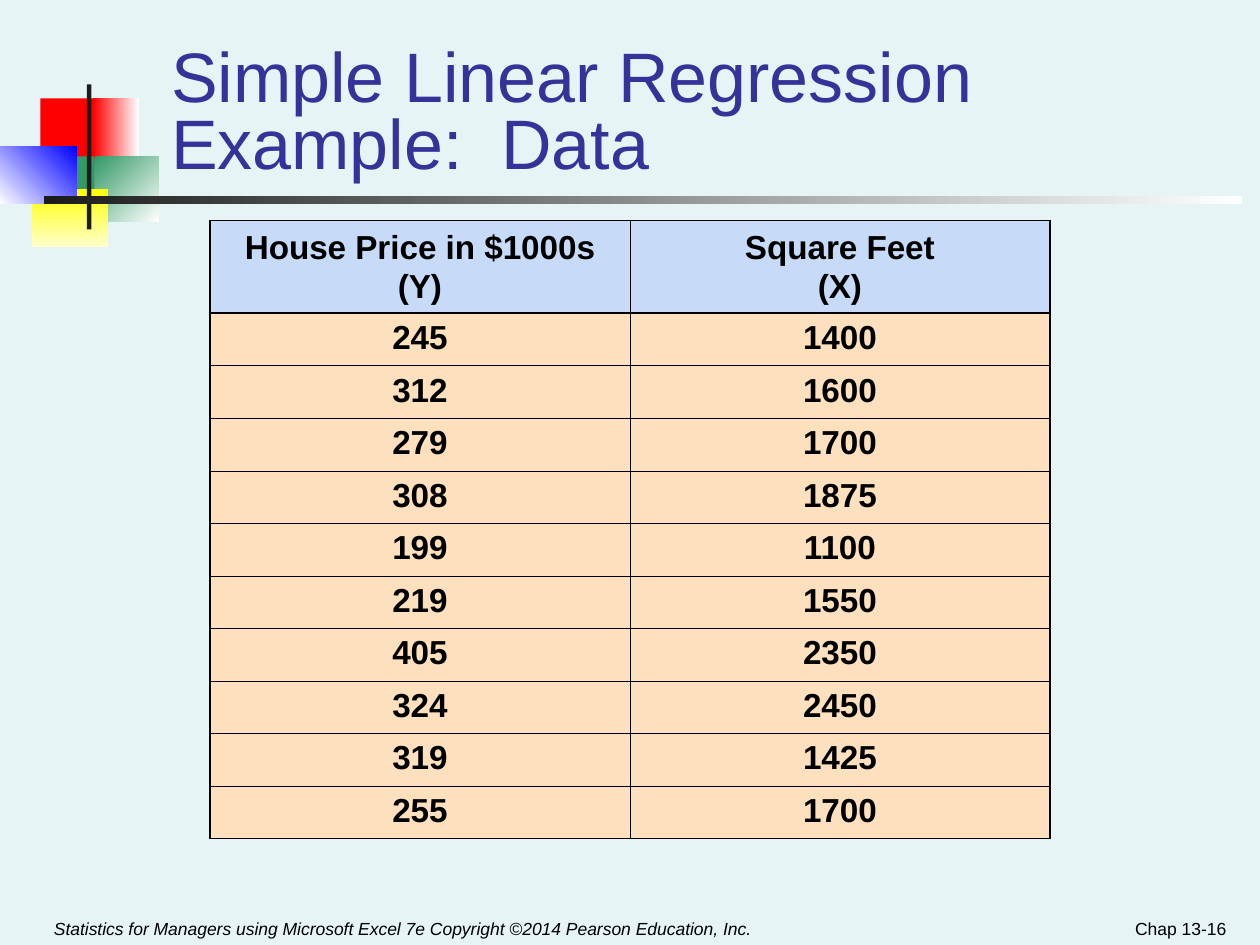
from dataclasses import dataclass
from typing import NamedTuple

from lxml import etree
from pptx import Presentation, util as u
from pptx.dml.color import RGBColor
from pptx.enum import shapes, text
from pptx.oxml.ns import qn

COLS, ROWS = 100, 75
UNIT = u.Inches(0.1)


@dataclass(frozen=True)
class Theme:
    font: str = "Arial"
    back: str = "E7F4F5"
    ink: str = "000000"
    title: str = "333399"
    head: str = "C7DAF7"
    body: str = "FDE0BD"
    red: str = "FF0000"
    green: str = "339966"
    yellow: str = "FFFF00"
    cream: str = "FFFFCC"
    blue: str = "0000FF"
    dark: str = "1C1C1C"
    white: str = "FFFFFF"
    big: float = 40
    mid: float = 19
    small: float = 10
    thick: float = 1.08
    thin: float = 0.45


class Box(NamedTuple):
    col: float
    row: float
    wide: float
    high: float

    def place(self) -> list[int]:
        return [span(size) for size in self]


class Block(NamedTuple):
    box: Box
    start: str
    end: str | None = None
    turn: int = 0


class Label(NamedTuple):
    box: Box
    words: str
    size: float
    color: str
    align: text.PP_ALIGN = text.PP_ALIGN.LEFT
    slant: bool = False
    pitch: float = 1.0


T = Theme()

BLOCKS = [
    Block(Box(3.2, 7.8, 4.8, 5.2), T.red),
    Block(Box(7.4, 7.8, 3.6, 5.2), T.red, T.white),
    Block(Box(7.5, 12.4, 5.1, 5.2), T.green, T.white, 315),
    Block(Box(4.3, 12.4, 3.2, 5.2), T.green),
    Block(Box(2.5, 15, 6.1, 4.6), T.yellow, T.cream, 270),
    Block(Box(0, 11.6, 6.1, 4.6), T.white, T.blue, 45),
    Block(Box(6.9, 6.7, 0.35, 11.5), T.dark),
    Block(Box(3.5, 15.6, 95.1, 0.6), T.dark, T.white),
]

LABELS = [
    Label(Box(3.3, 70.8, 58.3, 4.2),
          "Statistics for Managers using Microsoft Excel 7e Copyright ©2014 Pearson Education, Inc.",
          T.small, T.ink, slant=True),
    Label(Box(75, 71.5, 23.3, 3.5), "Chap 13-16", T.small, T.ink, text.PP_ALIGN.RIGHT),
    Label(Box(12.6, 4.2, 77.4, 10.8), "Simple Linear Regression Example:  Data",
          T.big, T.title, pitch=0.8),
]

GRID = Box(16.67, 17.5, 66.66, 49.05)
HEAD_HIGH = 7.35
HEADS = [("House Price in $1000s", "(Y)"), ("Square Feet", "(X)")]
HOMES = [(245, 1400), (312, 1600), (279, 1700), (308, 1875), (199, 1100),
         (219, 1550), (405, 2350), (324, 2450), (319, 1425), (255, 1700)]


def span(size: float) -> int:
    return round(size * UNIT)


def tint(color: str) -> RGBColor:
    return RGBColor.from_string(color)


def add_run(para, words: str, size: float, color: str, bold=False, slant=False) -> None:
    run = para.add_run()
    run.text = words
    font = run.font
    font.name, font.size = T.font, u.Pt(size)
    font.bold, font.italic = bold, slant
    font.color.rgb = tint(color)


def add_block(slide, block: Block) -> None:
    shape = slide.shapes.add_shape(shapes.MSO_SHAPE.RECTANGLE, *block.box.place())
    shape.shadow.inherit = False
    shape.line.fill.background()
    if block.end is None:
        shape.fill.solid()
        shape.fill.fore_color.rgb = tint(block.start)
        return
    shape.fill.gradient()
    shape.fill.gradient_angle = block.turn
    for stop, color in zip(shape.fill.gradient_stops, (block.start, block.end)):
        stop.color.rgb = tint(color)


def add_label(slide, label: Label) -> None:
    frame = slide.shapes.add_textbox(*label.box.place()).text_frame
    frame.word_wrap = True
    frame.vertical_anchor = text.MSO_ANCHOR.BOTTOM
    para = frame.paragraphs[0]
    para.alignment, para.line_spacing = label.align, label.pitch
    add_run(para, label.words, label.size, label.color, slant=label.slant)


def add_edge(cell, side: str, width: float) -> None:
    line = etree.SubElement(cell._tc.get_or_add_tcPr(), qn(f"a:ln{side}"), w=str(u.Pt(width)))
    fill = etree.SubElement(line, qn("a:solidFill"))
    etree.SubElement(fill, qn("a:srgbClr"), val=T.ink)


def fill_cell(cell, lines: tuple[str, ...], color: str, heavy: dict[str, bool]) -> None:
    for side, thick in heavy.items():
        add_edge(cell, side, T.thick if thick else T.thin)
    cell.fill.solid()
    cell.fill.fore_color.rgb = tint(color)
    frame = cell.text_frame
    for rank, words in enumerate(lines):
        para = frame.add_paragraph() if rank else frame.paragraphs[0]
        para.alignment = text.PP_ALIGN.CENTER
        if rank:
            para.space_before, para.line_spacing = u.Pt(4.8), 0.8
        add_run(para, words, T.mid, T.ink, bold=True)


def add_homes(slide) -> None:
    data = [HEADS] + [[(str(value),) for value in home] for home in HOMES]
    last, edge = len(data) - 1, len(HEADS) - 1
    table = slide.shapes.add_table(len(data), len(HEADS), *GRID.place()).table
    table.first_row = table.horz_banding = False
    for col in table.columns:
        col.width = span(GRID.wide / len(HEADS))
    for y, line in enumerate(data):
        table.rows[y].height = span((GRID.high - HEAD_HIGH) / last if y else HEAD_HIGH)
        for x, lines in enumerate(line):
            cell = table.cell(y, x)
            heavy = {"L": x == 0, "R": x == edge, "T": y < 2, "B": y in (0, last)}
            fill_cell(cell, lines, T.body if y else T.head, heavy)
            if y == 0:
                cell.vertical_anchor = text.MSO_ANCHOR.MIDDLE


def main() -> None:
    deck = Presentation()
    deck.slide_width, deck.slide_height = span(COLS), span(ROWS)
    slide = deck.slides.add_slide(deck.slide_layouts[6])
    slide.background.fill.solid()
    slide.background.fill.fore_color.rgb = tint(T.back)
    for block in BLOCKS:
        add_block(slide, block)
    for label in LABELS:
        add_label(slide, label)
    add_homes(slide)
    deck.save("out.pptx")


if __name__ == "__main__":
    main()
